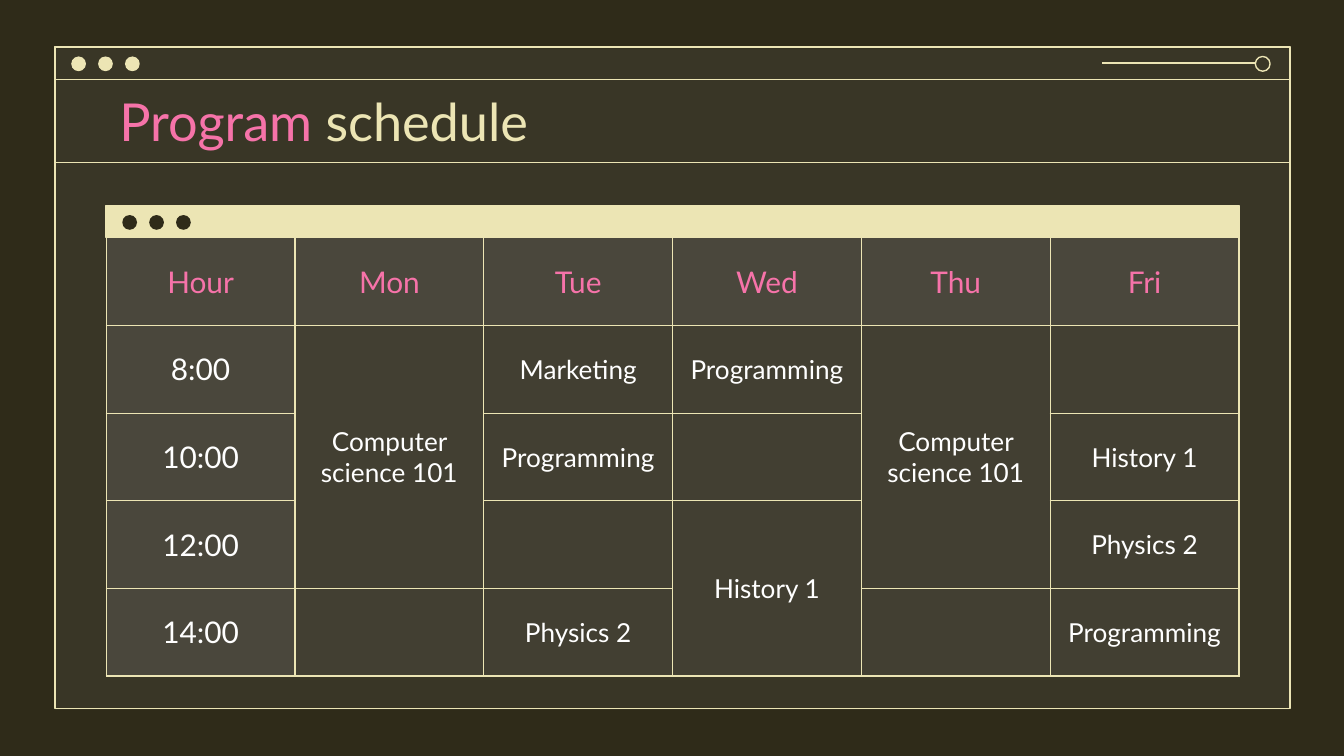
"""Build a weekly program schedule slide framed as an application window."""
from typing import NamedTuple, Optional

import pptx
import pptx.dml.color
import pptx.enum.shapes
import pptx.enum.text
import pptx.oxml
import pptx.oxml.ns
import pptx.util

Inches = pptx.util.Inches
Pt = pptx.util.Pt
Shape = pptx.enum.shapes.MSO_SHAPE
Align = pptx.enum.text.PP_ALIGN
Anchor = pptx.enum.text.MSO_ANCHOR

DARK, CREAM, PINK, WHITE, GREY = "2F2B19", "ECE5B4", "F673A9", "FFFFFF", "7C7C7C"
FONT = "Lato"
LINE_WIDTH = 0.75
DOT, DOT_STEP = 0.11, 0.2
COLUMN_WIDTH, ROW_HEIGHT = 8.43 / 6, 3.26 / 5


class Panel(NamedTuple):
    left: float
    top: float
    width: float
    height: float
    fill: Optional[str] = None
    line: Optional[str] = None
    opacity: int = 100
    kind: Shape = Shape.RECTANGLE


class Rule(NamedTuple):
    left: float
    right: float
    height: float


class Merge(NamedTuple):
    column: int
    first: int
    last: int


WINDOW = [
    Panel(0.41, 0.36, 9.18, 4.92, fill=GREY, opacity=14),
    Panel(0.41, 0.35, 9.19, 4.92, line=CREAM),
    Panel(0.41, 0.35, 9.19, 0.24, line=CREAM),
    Panel(9.34, 0.42, DOT, DOT, line=CREAM, kind=Shape.OVAL),
]
RULES = [Rule(8.2, 9.34, 0.47), Rule(0.41, 9.59, 1.21)]
TINTS = [
    Panel(0.79, 1.77, 8.43, 0.65, fill=GREY, opacity=14),
    Panel(0.79, 2.42, 1.4, 2.61, fill=GREY, opacity=14),
    Panel(0.79, 1.77, 8.43, 3.26, fill=GREY, opacity=14),
]
TABLE_BAR = Panel(0.79, 1.53, 8.43, 0.24, fill=CREAM, line=CREAM)
SCHEDULE = [
    ["Hour", "Mon", "Tue", "Wed", "Thu", "Fri"],
    ["8:00", "Computer science 101", "Marketing", "Programming", "Computer science 101", ""],
    ["10:00", "", "Programming", "", "", "History 1"],
    ["12:00", "", "", "History 1", "", "Physics 2"],
    ["14:00", "", "Physics 2", "", "", "Programming"],
]
MERGES = [Merge(1, 1, 3), Merge(4, 1, 3), Merge(3, 3, 4)]


def colour(value: str) -> pptx.dml.color.RGBColor:
    return pptx.dml.color.RGBColor.from_string(value)


def draw_panel(page, panel: Panel) -> None:
    shape = page.shapes.add_shape(
        panel.kind, Inches(panel.left), Inches(panel.top), Inches(panel.width), Inches(panel.height)
    )
    shape.shadow.inherit = False
    if panel.fill:
        shape.fill.solid()
        shape.fill.fore_color.rgb = colour(panel.fill)
        if panel.opacity < 100:
            tone = shape._element.spPr.find(".//" + pptx.oxml.ns.qn("a:srgbClr"))
            alpha = pptx.oxml.parse_xml(
                f'<a:alpha {pptx.oxml.ns.nsdecls("a")} val="{panel.opacity * 1000}"/>'
            )
            tone.append(alpha)
    else:
        shape.fill.background()
    if panel.line:
        shape.line.color.rgb = colour(panel.line)
        shape.line.width = Pt(LINE_WIDTH)
    else:
        shape.line.fill.background()


def draw_dots(page, left: float, top: float, fill: str) -> None:
    for index in range(3):
        draw_panel(page, Panel(left + index * DOT_STEP, top, DOT, DOT, fill, kind=Shape.OVAL))


def draw_rule(page, rule: Rule) -> None:
    line = page.shapes.add_connector(
        pptx.enum.shapes.MSO_CONNECTOR.STRAIGHT,
        Inches(rule.left), Inches(rule.height), Inches(rule.right), Inches(rule.height),
    )
    line.line.color.rgb = colour(CREAM)
    line.line.width = Pt(LINE_WIDTH)
    line._element.spPr.append(
        pptx.oxml.parse_xml(f'<a:effectLst {pptx.oxml.ns.nsdecls("a")}/>')
    )


def draw_title(page) -> None:
    box = page.shapes.add_textbox(Inches(0.79), Inches(0.59), Inches(8.43), Inches(0.62))
    frame = box.text_frame
    frame.word_wrap = True
    frame.vertical_anchor = Anchor.MIDDLE
    frame.margin_left = frame.margin_right = Inches(0.1)
    frame.margin_top = frame.margin_bottom = Inches(0.1)
    para = frame.paragraphs[0]
    para.font.name = FONT
    para.font.size = Pt(28)
    for text, tone in (("Program", PINK), (" schedule", CREAM)):
        span = para.add_run()
        span.text = text
        span.font.color.rgb = colour(tone)


def border_cell(cell) -> None:
    properties = cell._tc.get_or_add_tcPr()
    for index, side in enumerate(("lnL", "lnR", "lnT", "lnB")):
        edge = pptx.oxml.parse_xml(
            f'<a:{side} {pptx.oxml.ns.nsdecls("a")} w="{Pt(LINE_WIDTH)}">'
            f'<a:solidFill><a:srgbClr val="{CREAM}"/></a:solidFill></a:{side}>'
        )
        properties.insert(index, edge)


def style_cell(cell, text: str, size: int, tone: str) -> None:
    cell.fill.background()
    border_cell(cell)
    cell.vertical_anchor = Anchor.MIDDLE
    cell.margin_left = cell.margin_right = Inches(0.1)
    cell.margin_top = cell.margin_bottom = Inches(0.1)
    para = cell.text_frame.paragraphs[0]
    para.alignment = Align.CENTER
    para.font.name = FONT
    para.font.size = Pt(size)
    para.font.color.rgb = colour(tone)
    if text:
        para.add_run().text = text


def draw_schedule(page) -> None:
    rows, columns = len(SCHEDULE), len(SCHEDULE[0])
    table = page.shapes.add_table(
        rows, columns, Inches(0.79), Inches(1.77),
        Inches(COLUMN_WIDTH * columns), Inches(ROW_HEIGHT * rows),
    ).table
    table.first_row = table.horz_banding = False
    for column in table.columns:
        column.width = Inches(COLUMN_WIDTH)
    for row in table.rows:
        row.height = Inches(ROW_HEIGHT)
    for row, entries in enumerate(SCHEDULE):
        for column, text in enumerate(entries):
            size = 16 if row == 0 or column == 0 else 14
            style_cell(table.cell(row, column), text, size, WHITE if row else PINK)
    for merge in MERGES:
        table.cell(merge.first, merge.column).merge(table.cell(merge.last, merge.column))


def main() -> None:
    deck = pptx.Presentation()
    deck.slide_width = Inches(10)
    deck.slide_height = deck.slide_width * 9 // 16
    page = deck.slides.add_slide(deck.slide_layouts[6])
    page.background.fill.solid()
    page.background.fill.fore_color.rgb = colour(DARK)
    for panel in WINDOW:
        draw_panel(page, panel)
    draw_dots(page, 0.53, 0.42, CREAM)
    for rule in RULES:
        draw_rule(page, rule)
    for panel in TINTS:
        draw_panel(page, panel)
    draw_title(page)
    draw_schedule(page)
    draw_panel(page, TABLE_BAR)
    draw_dots(page, 0.91, 1.6, DARK)
    deck.save("out.pptx")


if __name__ == "__main__":
    main()
